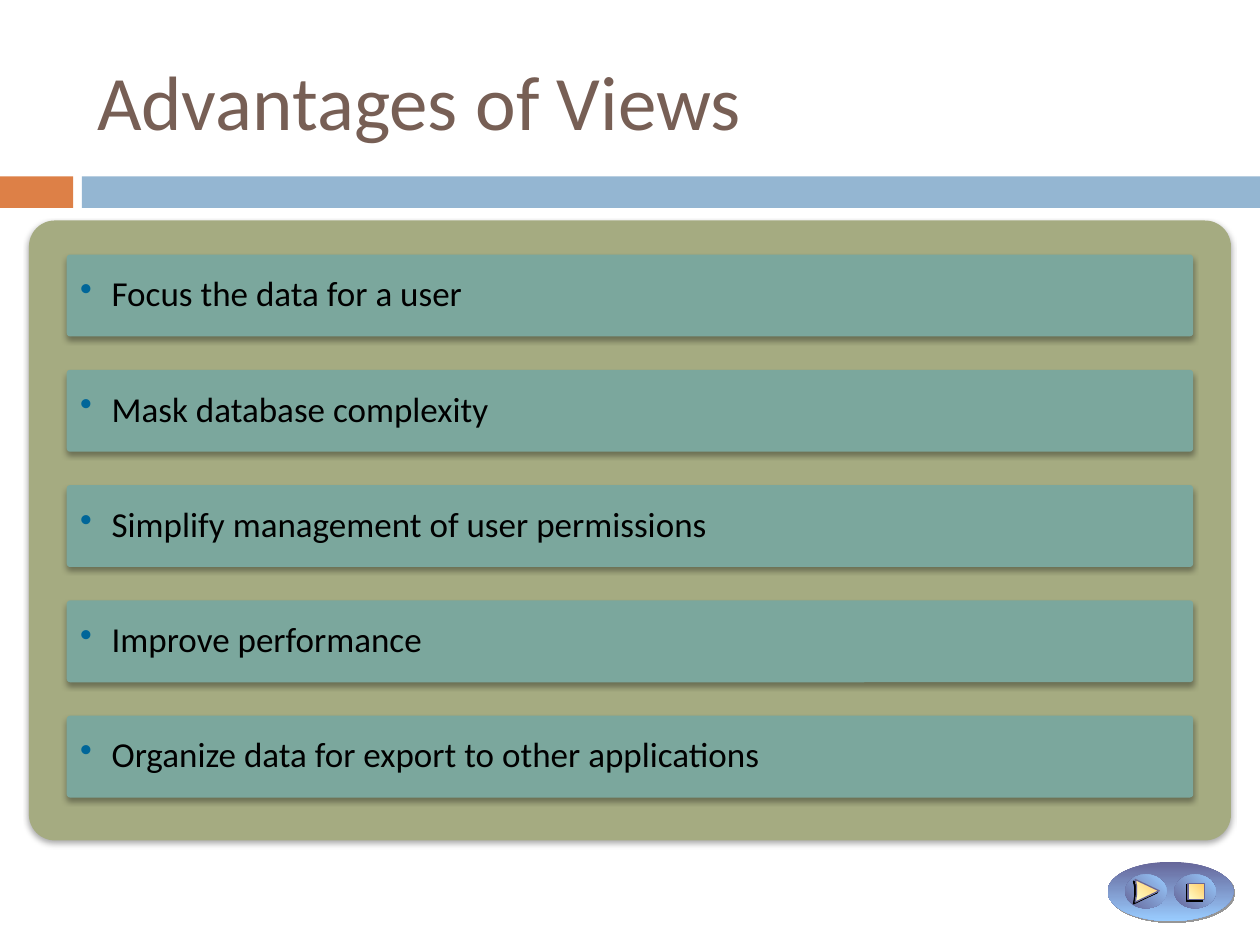
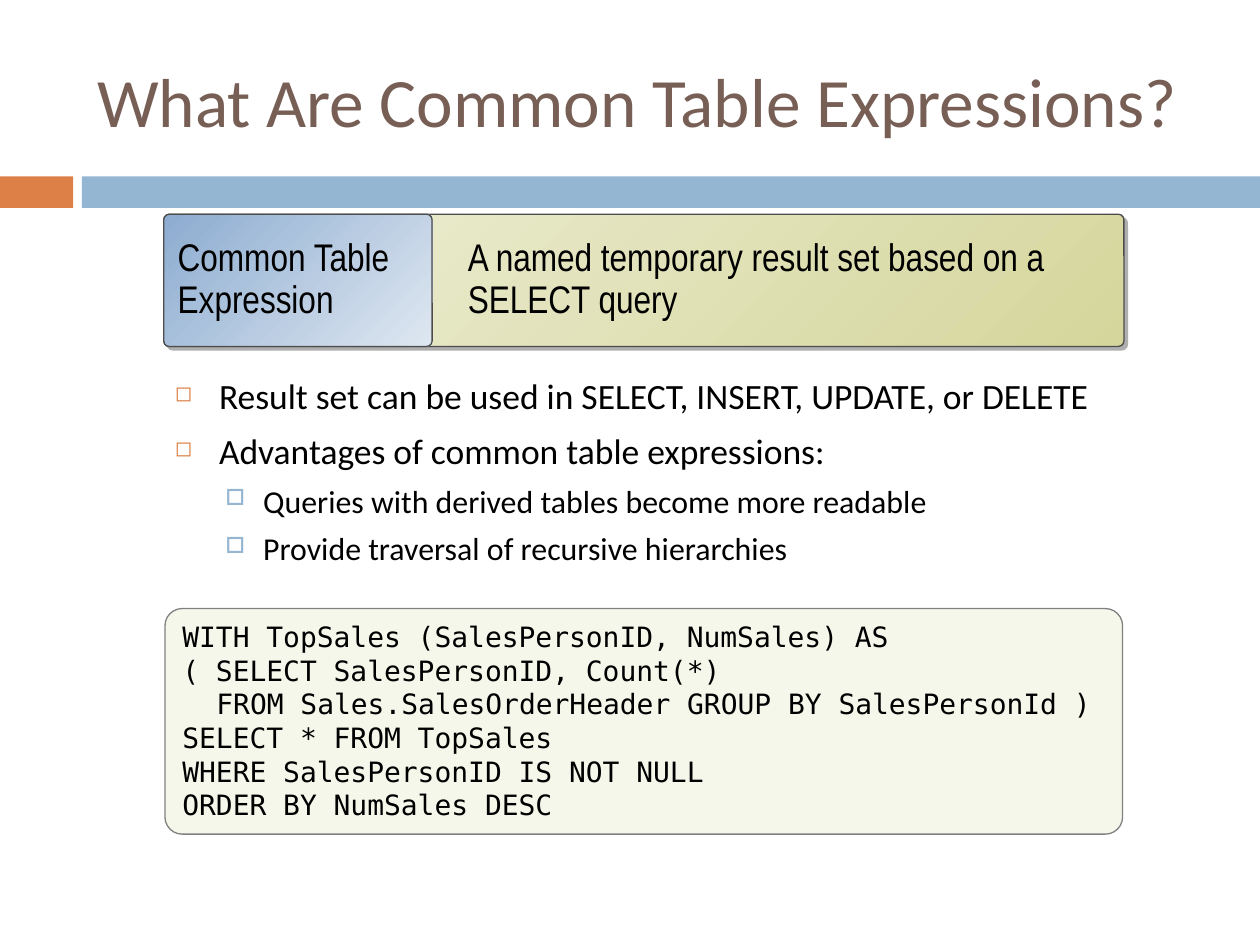
from dataclasses import dataclass
from typing import Optional

from lxml import etree
from pptx import Presentation
from pptx.dml.color import RGBColor
from pptx.enum.shapes import MSO_SHAPE
from pptx.enum.text import MSO_ANCHOR, MSO_AUTO_SIZE, PP_ALIGN
from pptx.oxml.ns import qn
from pptx.util import Inches, Pt

RECT, ROUND, OVAL = MSO_SHAPE.RECTANGLE, MSO_SHAPE.ROUNDED_RECTANGLE, MSO_SHAPE.OVAL
TOP, MIDDLE = MSO_ANCHOR.TOP, MSO_ANCHOR.MIDDLE
LEFT, NO_AUTOFIT = PP_ALIGN.LEFT, MSO_AUTO_SIZE.NONE

COLORS = {
    "title": "775F55", "text": "000000", "orange": "DD8047", "blue": "94B6D2",
    "olive": "A5AB81", "teal": "7BA79D", "bullet": "006699",
    "code": "F6F7EB", "code_line": "808080", "box_line": "4D4D4D",
    "lime_light": "EEEFD7", "lime": "D5D69C", "term": "8DACD0", "term_light": "DEE7F1",
    "button": "666699", "button_light": "99CCFF", "icon_light": "FFFFCC", "icon": "FFCC66",
    "black": "000000", "gray": "969696", "light_gray": "AFAFAF",
}


@dataclass(frozen=True)
class Gradient:
    start: str
    end: str
    angle: int  # clockwise degrees


@dataclass(frozen=True)
class Shadow:
    color: str
    opacity: int
    blur: float
    distance: float
    direction: int


@dataclass(frozen=True)
class Look:
    fill: str | Gradient
    line: Optional[str] = None
    shadow: Optional[Shadow] = None


@dataclass(frozen=True)
class TextStyle:
    size: float
    font: str = "Calibri"
    color: str = "text"
    spacing: float = 1.0
    before: float = 0
    margin: float = 0
    hanging: float = 0
    level: int = 0
    bullet: str = ""
    bullet_color: str = "bullet"
    bullet_size: int = 100


SOFT_SHADOW = Shadow("black", 35, 3, 2, 90)
ICON_SHADOW = Shadow("black", 100, 0, 1.4, 135)
PANEL = Look("olive", shadow=SOFT_SHADOW)
ROW = Look("teal", shadow=SOFT_SHADOW)
BUTTON_BAR = Look(Gradient("button", "button_light", 90),
                  shadow=Shadow("gray", 100, 0, 1.4, 45))
BUTTON = Look(Gradient("button", "button_light", 315))
ICON = Look(Gradient("icon_light", "icon", 315), "button", ICON_SHADOW)
DEFINITION = Look(Gradient("lime_light", "lime", 45), "box_line",
                  Shadow("light_gray", 100, 0, 2.8, 45))
TERM = Look(Gradient("term", "term_light", 45), "box_line")
CODE = Look("code", "code_line")

ROW_TEXT = TextStyle(20, spacing=0.9, margin=0.25, hanging=0.25, bullet="•")
TERM_TEXT = TextStyle(22, "Arial Narrow", spacing=0.9)
DEFINITION_TEXT = TextStyle(22, "Arial Narrow", spacing=0.9, margin=0.5)
CODE_TEXT = TextStyle(16, "DejaVu Sans Mono")
CODE_INDENTED = TextStyle(16, "DejaVu Sans Mono", margin=0.27)
POINT = TextStyle(20.3, before=7, margin=0.35, hanging=0.35,
                  bullet="◻", bullet_color="orange", bullet_size=60)
SUBPOINT = TextStyle(18.2, before=5.5, margin=0.7, hanging=0.3, level=1,
                     bullet="□", bullet_color="blue", bullet_size=70)

ADVANTAGES = [
    "Focus the data for a user",
    "Mask database complexity",
    "Simplify management of user permissions",
    "Improve performance",
    "Organize data for export to other applications",
]
CTE_POINTS = [
    ("Result set can be used in SELECT, INSERT, UPDATE, or DELETE", POINT),
    ("Advantages of common table expressions:", POINT),
    ("Queries with derived tables become more readable", SUBPOINT),
    ("Provide traversal of recursive hierarchies", SUBPOINT),
]
CTE_CODE = [
    ("WITH TopSales (SalesPersonID, NumSales) AS", CODE_TEXT),
    ("( SELECT SalesPersonID, Count(*)", CODE_TEXT),
    ("FROM Sales.SalesOrderHeader GROUP BY SalesPersonId )", CODE_INDENTED),
    ("SELECT * FROM TopSales", CODE_TEXT),
    ("WHERE SalesPersonID IS NOT NULL", CODE_TEXT),
    ("ORDER BY NumSales DESC", CODE_TEXT),
]


def rgb(name: str) -> RGBColor:
    return RGBColor.from_string(COLORS[name])


def box(*lengths: float) -> list:
    return [Inches(n) for n in lengths]


def add_xml(parent, tag: str, **attrs):
    return etree.SubElement(parent, qn(tag), {k: str(v) for k, v in attrs.items()})


def apply_look(sp, look: Look) -> None:
    if isinstance(look.fill, Gradient):
        sp.fill.gradient()
        sp.fill.gradient_angle = 360 - look.fill.angle
        for stop, name in zip(sp.fill.gradient_stops, (look.fill.start, look.fill.end)):
            stop.color.rgb = rgb(name)
    else:
        sp.fill.solid()
        sp.fill.fore_color.rgb = rgb(look.fill)
    if look.line:
        sp.line.color.rgb = rgb(look.line)
        sp.line.width = Pt(0.75)
    else:
        sp.line.fill.background()
    sp.shadow.inherit = False
    if look.shadow:
        s = look.shadow
        effects = sp._element.spPr.find(qn("a:effectLst"))
        outer = add_xml(effects, "a:outerShdw", blurRad=Pt(s.blur), dist=Pt(s.distance),
                        dir=s.direction * 60000, algn="ctr", rotWithShape=0)
        color = add_xml(outer, "a:srgbClr", val=COLORS[s.color])
        add_xml(color, "a:alpha", val=s.opacity * 1000)


def add_box(shapes, kind, at: tuple, look: Look, corner: float = 0.042):
    sp = shapes.add_shape(kind, *box(*at))
    if kind == ROUND:
        sp.adjustments[0] = corner
    apply_look(sp, look)
    return sp


def write(sp, lines: list[tuple[str, TextStyle]], anchor=MIDDLE) -> None:
    """Fill a shape with one styled paragraph for each line."""
    tf = sp.text_frame
    for name, value in {"word_wrap": True, "auto_size": NO_AUTOFIT,
                        "vertical_anchor": anchor}.items():
        setattr(tf, name, value)
    for i, (text, style) in enumerate(lines):
        p = tf.add_paragraph() if i else tf.paragraphs[0]
        for name, value in {"alignment": LEFT, "level": style.level,
                            "line_spacing": style.spacing,
                            "space_before": Pt(style.before)}.items():
            setattr(p, name, value)
        pPr = p._p.get_or_add_pPr()
        pPr.set("marL", str(Inches(style.margin)))
        pPr.set("indent", str(Inches(-style.hanging)))
        if style.bullet:
            color = add_xml(pPr, "a:buClr")
            add_xml(color, "a:srgbClr", val=COLORS[style.bullet_color])
            add_xml(pPr, "a:buSzPct", val=style.bullet_size * 1000)
            add_xml(pPr, "a:buChar", char=style.bullet)
        r = p.add_run()
        r.text = text
        r.font.name, r.font.size = style.font, Pt(style.size)
        r.font.color.rgb = rgb(style.color)


def add_titled_slide(prs, title: str, size: float):
    """Add a slide with the shared title style and two-colour band."""
    slide = prs.slides.add_slide(prs.slide_layouts[5])
    sp = slide.shapes.title
    sp.left, sp.top, sp.width, sp.height = box(0.67, 0.25, 8.92, 1.08)
    write(sp, [(title, TextStyle(size, color="title"))])
    for left, width, color in ((0, 0.58, "orange"), (0.65, 9.35, "blue")):
        add_box(slide.shapes, RECT, (left, 1.4, width, 0.25), Look(color))
    return slide


def add_player_buttons(slide) -> None:
    shapes = slide.shapes.add_group_shape().shapes
    add_box(shapes, OVAL, (8.79, 6.84, 1, 0.47), BUTTON_BAR)
    for left in (8.93, 9.32):
        add_box(shapes, OVAL, (left, 6.94, 0.33, 0.27), BUTTON)
    play = shapes.build_freeform(*box(9.01, 6.98), scale=1.0)
    play.add_line_segments([box(x, y) for x, y in
                            ((9.02, 7.03), (9.02, 7.1), (9.01, 7.16), (9.2, 7.07))])
    apply_look(play.convert_to_shape(), ICON)
    add_box(shapes, RECT, (9.43, 7.01, 0.13, 0.13), ICON)


def build_advantages(prs) -> None:
    slide = add_titled_slide(prs, "Advantages of Views", 44)
    add_box(slide.shapes, ROUND, (0.23, 1.75, 9.54, 4.92), PANEL)
    first_top, pitch = 2.02, 0.915
    for i, advantage in enumerate(ADVANTAGES):
        sp = add_box(slide.shapes, ROUND, (0.53, first_top + i * pitch, 8.94, 0.65), ROW)
        write(sp, [(advantage, ROW_TEXT)])
    add_player_buttons(slide)


def build_expressions(prs) -> None:
    slide = add_titled_slide(prs, "What Are Common Table Expressions?", 39.6)
    points = slide.shapes.add_textbox(*box(1.29, 2.92, 7.61, 1.66))
    write(points, CTE_POINTS, TOP)
    code = add_box(slide.shapes, ROUND, (1.31, 4.83, 7.6, 1.79), CODE, 0.076)
    write(code, CTE_CODE, TOP)

    shapes = slide.shapes.add_group_shape().shapes
    definition = add_box(shapes, ROUND, (1.3, 1.7, 7.62, 1.05), DEFINITION)
    definition.text_frame.margin_left = Inches(1.9)
    write(definition, [("A named temporary result set based on a SELECT query",
                        DEFINITION_TEXT)])
    term = add_box(shapes, ROUND, (1.3, 1.7, 2.13, 1.05), TERM)
    write(term, [("Common Table Expression", TERM_TEXT)])


def main() -> None:
    prs = Presentation()
    prs.slide_width, prs.slide_height = box(10, 7.5)
    build_advantages(prs)
    build_expressions(prs)
    prs.save("out.pptx")


if __name__ == "__main__":
    main()
